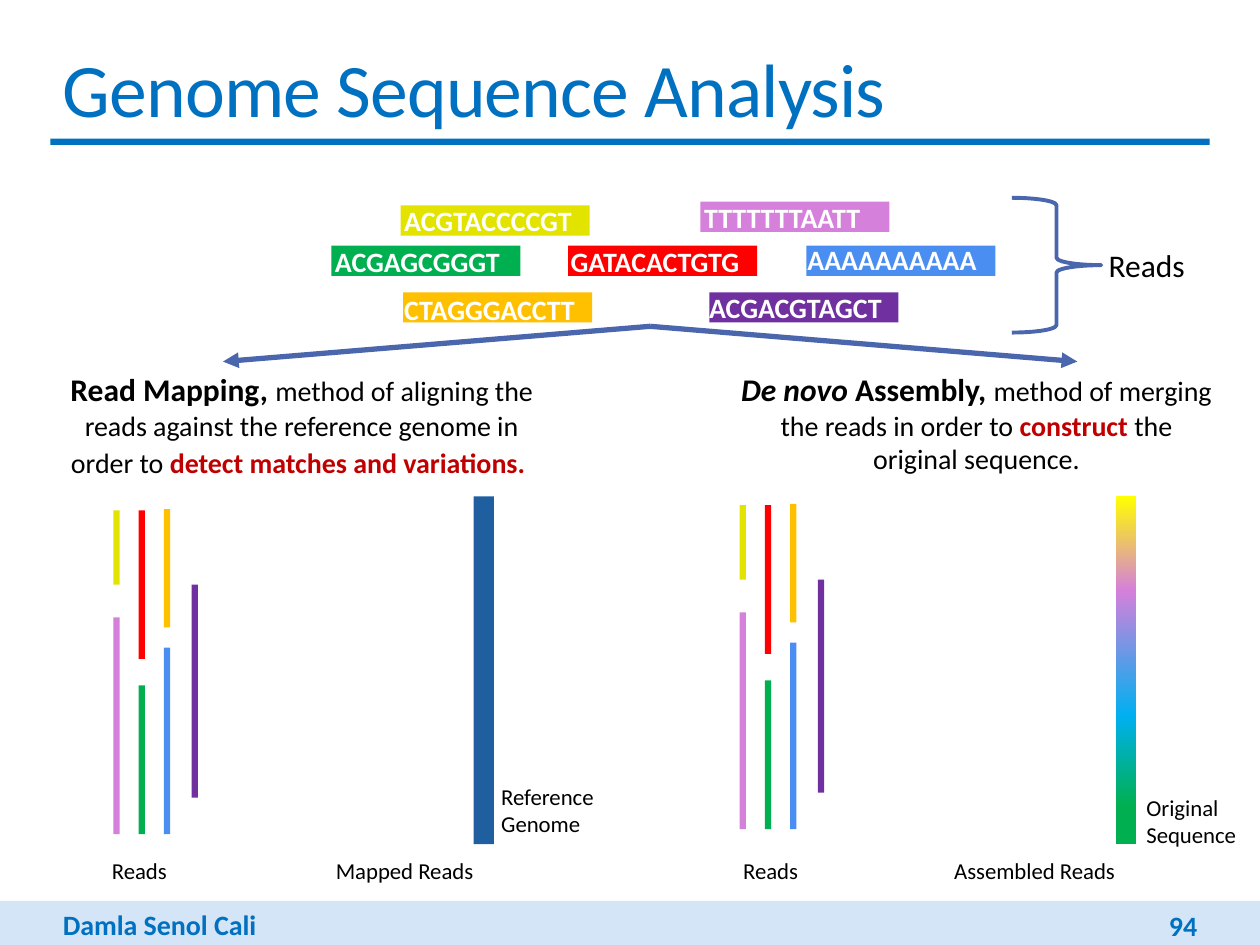
import pptx
import pptx.util
from lxml import etree
from pptx.dml.color import RGBColor
from pptx.enum.shapes import MSO_CONNECTOR, MSO_SHAPE
from pptx.enum.text import MSO_ANCHOR, PP_ALIGN
from pptx.oxml.ns import qn

Inches, Pt = pptx.util.Inches, pptx.util.Pt

BLUE, LINE, DARK_RED = "0070C0", "4A66AC", "C00000"
YELLOW, ORANGE, RED, PINK = "E3E300", "FFC000", "FF0000", "D580DB"
PURPLE, SKY, GREEN = "7030A0", "4A8EF2", "00B050"


def color(hex_string):
    return RGBColor.from_string(hex_string)


class SlideBuilder:
    font = "Calibri"
    text_color = "000000"

    def __init__(self, slide):
        self.slide = slide

    def shape(self, box, fill=None, kind=MSO_SHAPE.RECTANGLE, line=None, width=1):
        shape = self.slide.shapes.add_shape(kind, *map(Inches, box))
        shape.shadow.inherit = False
        if fill:
            shape.fill.solid()
            shape.fill.fore_color.rgb = color(fill)
        else:
            shape.fill.background()
        if line:
            shape.line.color.rgb = color(line)
            shape.line.width = Pt(width)
        else:
            shape.line.fill.background()
        return shape

    def gradient_bar(self, box, stops):
        """Vertical gradient; stops are (percent, colour) pairs from the top."""
        bar = self.shape(box)
        bar.fill.gradient()
        bar.fill.gradient_angle = 270
        stop_list = bar._element.spPr.find(qn("a:gradFill")).find(qn("a:gsLst"))
        for old in list(stop_list):
            stop_list.remove(old)
        for percent, hex_string in stops:
            stop = etree.SubElement(stop_list, qn("a:gs"), pos=str(percent * 1000))
            etree.SubElement(stop, qn("a:srgbClr"), val=hex_string)

    def arrow(self, start, end, hex_string, width):
        arrow = self.slide.shapes.add_connector(
            MSO_CONNECTOR.STRAIGHT, *map(Inches, start + end))
        arrow.line.color.rgb = color(hex_string)
        arrow.line.width = Pt(width)
        etree.SubElement(arrow.line._get_or_add_ln(), qn("a:tailEnd"), type="triangle")
        etree.SubElement(arrow._element.spPr, qn("a:effectLst"))

    def text(self, box, paragraphs, size, hex_string=None, bold=False,
             align=PP_ALIGN.LEFT, anchor=MSO_ANCHOR.TOP, spacing=None):
        """Each paragraph is a string or a list of (text, overrides) runs."""
        frame = self.slide.shapes.add_textbox(*map(Inches, box)).text_frame
        frame.word_wrap = True
        frame.vertical_anchor = anchor
        for index, runs in enumerate(paragraphs):
            paragraph = frame.add_paragraph() if index else frame.paragraphs[0]
            paragraph.alignment = align
            for content, style in [(runs, {})] if isinstance(runs, str) else runs:
                run = paragraph.add_run()
                run.text = content
                run.font.name = self.font
                run.font.size = Pt(style.get("size", size))
                run.font.bold = style.get("bold", bold)
                run.font.italic = style.get("italic", False)
                run.font.color.rgb = color(
                    style.get("color", hex_string or self.text_color))
                if spacing is not None:
                    run._r.get_or_add_rPr().set("spc", str(spacing))


def main():
    deck = pptx.Presentation()
    deck.slide_width, deck.slide_height = Inches(10), Inches(7.5)
    page = SlideBuilder(deck.slides.add_slide(deck.slide_layouts[6]))

    # Title and footer
    page.shape((0, 7.15, 10, 0.35), "D4E5F7")
    page.shape((0.4, 1.1, 9.2, 0.05), BLUE)
    page.text((0.4, 0.28, 9.2, 0.82), ["Genome Sequence Analysis"], 43.2, BLUE,
              anchor=MSO_ANCHOR.MIDDLE, spacing=-50)
    page.text((0.4, 7.15, 2.5, 0.37), ["Damla Senol Cali"], 16, BLUE, bold=True)
    page.text((8.22, 7.19, 1.38, 0.3), ["94"], 16, BLUE, bold=True,
              align=PP_ALIGN.RIGHT, anchor=MSO_ANCHOR.MIDDLE)

    # Arrows from the reads to the two methods
    for target_x in (1.77, 8.55):
        page.arrow((5.16, 2.59), (target_x, 2.87), LINE, 3)

    # Sequenced reads: bar left and top, text left and top
    sequences = [
        ("ACGTACCCCGT", YELLOW, 3.18, 1.63, 3.11, 1.57),
        ("GATACACTGTG", RED, 4.51, 1.95, 4.43, 1.89),
        ("TTTTTTTAATT", PINK, 5.56, 1.6, 5.49, 1.54),
        ("CTAGGGACCTT", ORANGE, 3.2, 2.32, 3.11, 2.27),
        ("ACGACGTAGCT", PURPLE, 5.63, 2.32, 5.53, 2.26),
        ("AAAAAAAAAA", SKY, 6.4, 1.95, 6.31, 1.88),
        ("ACGAGCGGGT", GREEN, 2.63, 1.95, 2.56, 1.89),
    ]
    for bases, fill, left, top, text_left, text_top in sequences:
        page.shape((left, top, 1.5, 0.24), fill)
        page.text((text_left, text_top, 1.75, 0.37), [bases], 16, "FFFFFF", bold=True)
    page.shape((8.03, 1.57, 0.71, 1.07), kind=MSO_SHAPE.RIGHT_BRACE,
               line=LINE, width=2.25)
    page.text((8.7, 1.9, 0.89, 0.4), ["Reads"], 18)

    # Method descriptions
    heading = {"size": 18, "bold": True}
    emphasis = {"bold": True, "color": DARK_RED}
    page.text((0.37, 2.89, 4.05, 0.98), [[
        ("Read Mapping, ", heading),
        ("method of aligning the reads against the reference genome in order to ", {}),
        ("detect matches and variations.", emphasis),
        (" ", {"size": 18}),
    ]], 16, align=PP_ALIGN.CENTER)
    page.text((5.78, 2.89, 3.94, 0.94), [[
        ("De novo", {**heading, "italic": True}),
        (" Assembly, ", heading),
        ("method of merging the reads in order to ", {}),
        ("construct ", emphasis),
        ("the original sequence.", {}),
    ]], 16, align=PP_ALIGN.CENTER)

    # Unplaced reads, the same set under each method: left, top, height
    read_bars = [
        (YELLOW, 0.9, 4.05, 0.59),
        (ORANGE, 1.3, 4.04, 0.94),
        (RED, 1.1, 4.05, 1.18),
        (PINK, 0.9, 4.9, 1.72),
        (PURPLE, 1.52, 4.64, 1.69),
        (SKY, 1.3, 5.14, 1.48),
        (GREEN, 1.1, 5.44, 1.18),
    ]
    for shift_x, shift_y in ((0, 0), (4.97, -0.04)):
        for fill, left, top, height in read_bars:
            page.shape((left + shift_x, top + shift_y, 0.05, height), fill)

    # Reference genome and original sequence
    page.shape((3.76, 3.94, 0.16, 2.76), "1F5FA0")
    page.text((3.88, 6.16, 1, 0.54), ["Reference", "Genome"], 13)
    page.gradient_bar((8.86, 3.94, 0.16, 2.76),
                      [(0, "FFFF00"), (27, PINK), (63, "00B0F0"), (89, GREEN)])
    page.text((9, 6.25, 1, 0.54), ["Original", "Sequence"], 13)

    # Captions
    for reads_left, result_left, result in (
            (0.79, 2.4, "Mapped Reads"), (5.8, 7.4, "Assembled Reads")):
        page.text((reads_left, 6.75, 0.66, 0.32), ["Reads"], 13)
        page.text((result_left, 6.75, 1.62, 0.32), [result], 13, align=PP_ALIGN.CENTER)

    deck.save("out.pptx")


if __name__ == "__main__":
    main()
